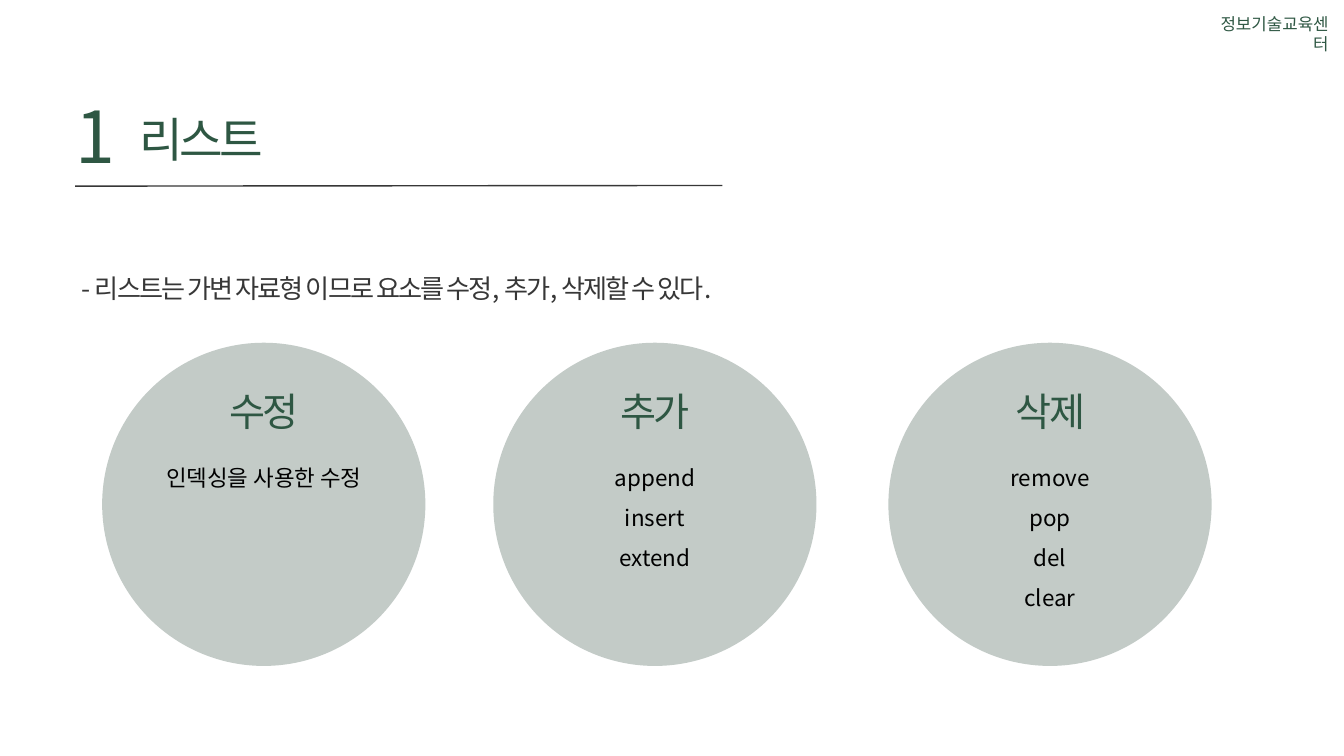
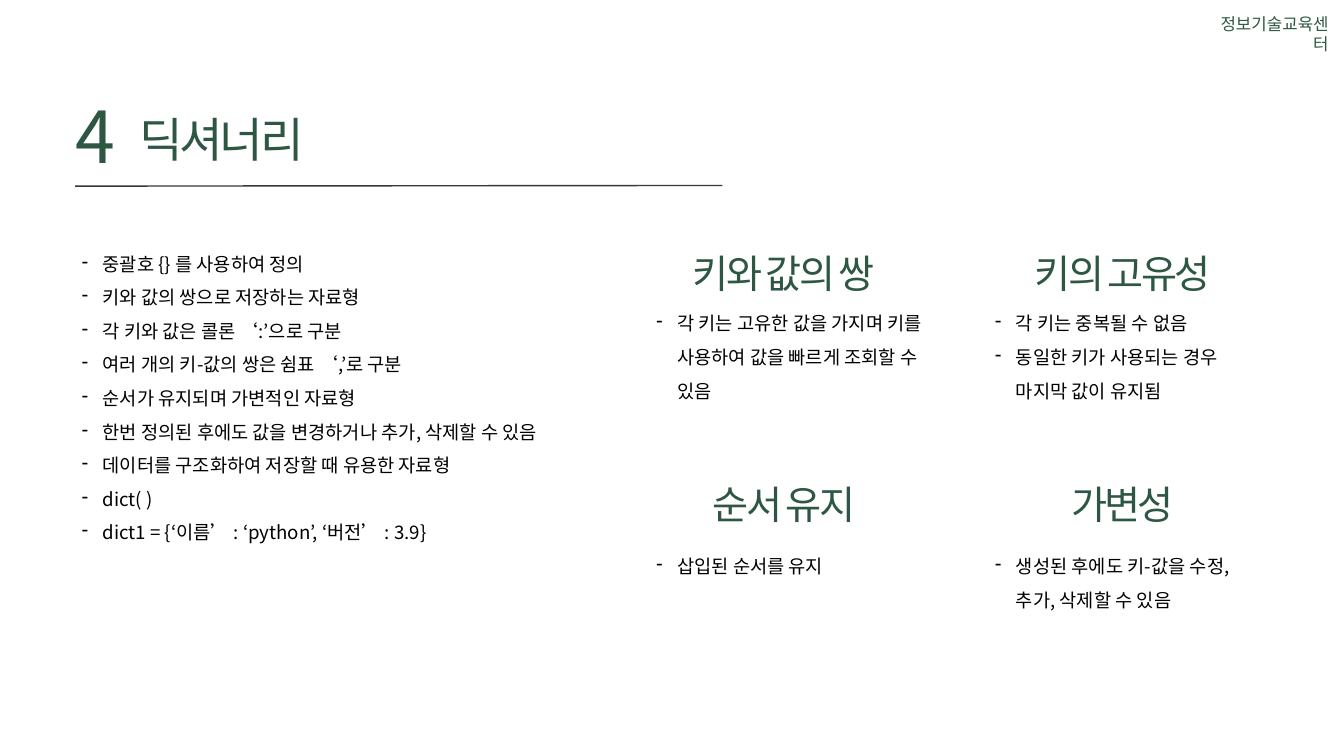
from dataclasses import dataclass
from lxml.etree import SubElement
from pptx import Presentation
from pptx.dml.color import RGBColor as RGB
from pptx.enum.shapes import MSO_CONNECTOR as Link, MSO_SHAPE as Form
from pptx.enum.text import MSO_AUTO_SIZE as Fit, PP_ALIGN as Align
from pptx.oxml.ns import qn
from pptx.util import Inches, Pt


@dataclass(frozen=True)
class Theme:
    face: str = "Noto Sans CJK KR"
    green: str = "2E5743"
    gray: str = "373737"
    black: str = "000000"
    sage: str = "C3CBC7"
    white: str = "FFFFFF"
    brand: float = 18
    list: float = 20
    item: float = 24
    lead: float = 28
    head: float = 42
    title: float = 50.8
    number: float = 76.8


class Deck:
    def __init__(self, theme):
        self.theme = theme
        self.show = Presentation()
        self.show.slide_width = Inches(20)
        self.show.slide_height = Inches(11.25)
        self.page = self.spot = None

    def slide(self, number, title):
        t = self.theme
        self.page = self.show.slides.add_slide(self.show.slide_layouts[6])
        self.spot = self.page.shapes
        self.text((17.95, 0.15, 1.92, 0.4), ["정보기술교육센터"], t.brand, t.green, align=Align.RIGHT)
        self.line((1.12, 2.77), (10.75, 2.76))
        self.text((2.07, 1.5, 5.98, 1), [title], t.title, t.green, space=Pt(71.1), track=-3.4, inset=0)
        self.text((1.12, 1.16, 0.79, 1.38), [number], t.number, t.green,
                  space=Pt(107.5), track=-5.1, inset=0)

    def group(self):
        self.spot = self.page.shapes.add_group_shape().shapes

    def line(self, start, end):
        rule = self.spot.add_connector(Link.STRAIGHT, *map(Inches, start + end))
        rule.line.color.rgb = RGB.from_string(self.theme.gray)
        rule.line.width = Pt(1.5)
        SubElement(rule._element.spPr, qn("a:effectLst"))

    def shape(self, form, box, fill):
        item = self.spot.add_shape(form, *map(Inches, box))
        item.shadow.inherit = False
        item.fill.solid()
        item.fill.fore_color.rgb = RGB.from_string(fill)
        item.line.fill.background()

    def text(self, box, rows, size, color, align=None, space=None, track=0, inset=None, dash=False):
        frame = self.spot.add_textbox(*map(Inches, box)).text_frame
        look = {"word_wrap": True, "auto_size": Fit.SHAPE_TO_FIT_TEXT}
        if inset is not None:
            look |= {f"margin_{side}": Inches(inset) for side in ("left", "top", "right", "bottom")}
        self.style(frame, look)
        for i, row in enumerate(rows):
            para = frame.paragraphs[0] if i == 0 else frame.add_paragraph()
            self.style(para, {"alignment": align, "line_spacing": space})
            run = para.add_run()
            run.text = row
            self.style(run.font, {"size": Pt(size), "name": self.theme.face})
            run.font.color.rgb = RGB.from_string(color)
            props = run._r.get_or_add_rPr()
            SubElement(props, qn("a:ea")).set("typeface", self.theme.face)
            if track:
                props.set("spc", str(round(track * 100)))
            if dash:
                self.bullet(para)

    def style(self, item, look):
        for name, value in look.items():
            setattr(item, name, value)

    def bullet(self, para):
        props = para._p.get_or_add_pPr()
        indent = Inches(0.31)
        props.set("marL", str(indent))
        props.set("indent", str(-indent))
        SubElement(props, qn("a:buChar")).set("char", "-")

    def head(self, box, text):
        t = self.theme
        self.text(box, [text], t.head, t.green, Align.CENTER, Pt(58.5), -2.8, 0)

    def list(self, box, rows):
        t = self.theme
        self.text(box, rows, t.list, t.black, space=1.5, dash=True)

    def circle(self, left, title, rows):
        t = self.theme
        self.group()
        self.shape(Form.OVAL, (left, 5.1, 4.81, 4.81), t.sage)
        self.head((left + 1.13, 5.65, 2.56, 0.75), title)
        self.text((left + 0.45, 6.65, 3.91, 0.04 + 0.6 * len(rows)), rows,
                  t.item, t.black, Align.CENTER, 1.5)

    def card(self, left, top, drop, gap, title, rows):
        self.group()
        self.shape(Form.ROUNDED_RECTANGLE, (left, top, 4.64, 2.88), self.theme.white)
        self.head((left + 0.74, top + drop, 3.17, 0.75), title)
        self.list((left + 0.33, top + gap, 4.21, 1.05), rows)


CIRCLES = [
    (1.52, "수정", ["인덱싱을 사용한 수정"]),
    (7.34, "추가", ["append", "insert", "extend"]),
    (13.22, "삭제", ["remove", "pop", "del", "clear"]),
]
FACTS = [
    "중괄호 {} 를 사용하여 정의",
    "키와 값의 쌍으로 저장하는 자료형",
    "각 키와 값은 콜론 ‘:’으로 구분",
    "여러 개의 키-값의 쌍은 쉼표 ‘,’로 구분",
    "순서가 유지되며 가변적인 자료형",
    "한번 정의된 후에도 값을 변경하거나 추가, 삭제할 수 있음",
    "데이터를 구조화하여 저장할 때 유용한 자료형",
    "dict( )",
    "dict1 = {‘이름’ : ‘python’, ‘버전’ : 3.9}",
]
COLUMNS = [9.34, 14.38]
ROWS = [(3.31, 0.28, 1.12), (6.69, 0.35, 1.35)]
CARDS = [
    [("키와 값의 쌍", ["각 키는 고유한 값을 가지며 키를 사용하여 값을 빠르게 조회할 수 있음"]),
     ("순서 유지", ["삽입된 순서를 유지"])],
    [("키의 고유성", ["각 키는 중복될 수 없음", "동일한 키가 사용되는 경우 마지막 값이 유지됨"]),
     ("가변성", ["생성된 후에도 키-값을 수정, 추가, 삭제할 수 있음"])],
]


def main():
    theme = Theme()
    deck = Deck(theme)
    deck.slide("1", "리스트")
    deck.text((1.12, 3.54, 10.01, 0.9),
              ["- 리스트는 가변 자료형 이므로 요소를 수정, 추가, 삭제할 수 있다."],
              theme.lead, theme.gray, space=2.0, track=-2)
    for circle in CIRCLES:
        deck.circle(*circle)

    deck.slide("4", "딕셔너리")
    deck.list((1.12, 3.54, 8.07, 4.59), FACTS)
    for left, column in zip(COLUMNS, CARDS):
        for row, card in zip(ROWS, column):
            deck.card(left, *row, *card)
    deck.show.save("out.pptx")


if __name__ == "__main__":
    main()
